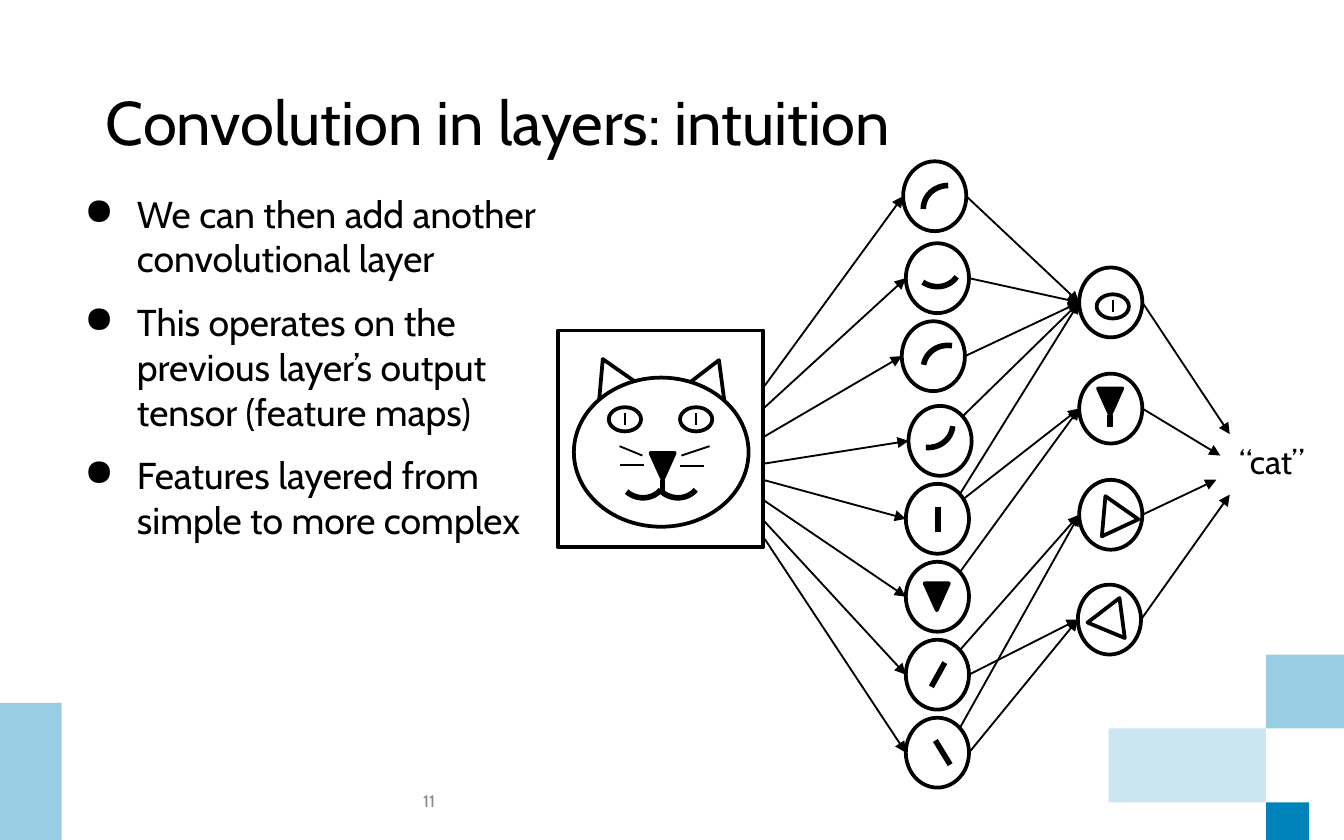
from lxml import etree
from pptx import Presentation
from pptx.dml.color import RGBColor
from pptx.enum.shapes import MSO_CONNECTOR, MSO_SHAPE
from pptx.enum.text import MSO_ANCHOR
from pptx.oxml.ns import qn
from pptx.util import Emu, Pt

PX = 9144  # EMU in one px, 100 px to the inch
BLACK = RGBColor(0x00, 0x00, 0x00)
WHITE = RGBColor(0xFF, 0xFF, 0xFF)
GRAY = RGBColor(0x88, 0x88, 0x88)
BLUE = RGBColor(0x00, 0x82, 0xBB)
FONT = "Cabin"
NODE_W, NODE_H = 47, 52

BULLETS = [
    "We can then add another convolutional layer",
    "This operates on the previous layer’s output tensor (feature maps)",
    "Features layered from simple to more complex",
]
# Left and top of each node, from the top down
SIMPLE_NODES = [(672, 120), (674, 181), (671, 239), (676, 302),
                (674, 360), (674, 418), (674, 476), (674, 534)]
COMPLEX_NODES = [(803, 199), (803, 278), (803, 357), (802, 435)]
# Where the line to each simple node leaves the image
IMAGE_EXITS = [(569, 287), (568, 304), (565, 327), (562, 346),
               (564, 356), (565, 370), (567, 386), (569, 401)]
# Simple node, the side it is left from, complex node
LINKS = [(0, "right", 0), (1, "right", 0), (2, "right", 0), (3, "corner", 0),
         (4, "corner", 0), (4, "center", 1), (5, "corner", 1), (6, "corner", 2),
         (7, "corner", 2), (6, "right", 3), (7, "right", 3)]
LABEL_ENDS = [(915, 323), (908, 339), (905, 357), (915, 368)]


def px(*lengths):
    return [Emu(length * PX) for length in lengths]


def add_shape(shapes, kind, box, fill=None, line=None, turn=0, alpha=None):
    shape = shapes.add_shape(kind, *px(*box))
    shape.shadow.inherit = False
    shape.rotation = turn
    if fill is None:
        shape.fill.background()
    else:
        shape.fill.solid()
        shape.fill.fore_color.rgb = fill
    if alpha:
        color = shape.element.spPr.find(".//" + qn("a:srgbClr"))
        etree.SubElement(color, qn("a:alpha"), val=str(alpha * 1000))
    if line is None:
        shape.line.fill.background()
    else:
        shape.line.color.rgb = BLACK
        shape.line.width = Pt(line)
    return shape


def add_line(shapes, start, end, width=1, arrow=False):
    line = shapes.add_connector(MSO_CONNECTOR.STRAIGHT, *px(*start, *end))
    line.line.color.rgb = BLACK
    line.line.width = Pt(width)
    properties = line.element.spPr
    if arrow:
        etree.SubElement(properties.find(qn("a:ln")), qn("a:tailEnd"), type="triangle")
    etree.SubElement(properties, qn("a:effectLst"))


def add_arc(shapes, left, top, turn=0):
    arc = add_shape(shapes, MSO_SHAPE.ARC, (left, top, 37, 35), line=3, turn=turn)
    arc.element.spPr.find(qn("a:xfrm")).set("flipH", "1")


def add_oval(shapes, *box):
    add_shape(shapes, MSO_SHAPE.OVAL, box, WHITE, 2)


def add_eye(shapes, left, top):
    add_oval(shapes, left, top, 24, 18)
    add_line(shapes, (left + 12, top + 4), (left + 12, top + 13))


def add_ear(shapes, left, top, turn):
    add_shape(shapes, MSO_SHAPE.ISOSCELES_TRIANGLE, (left, top, 30, 26), WHITE, 2, turn)


def add_nose(shapes, left, top):
    add_shape(shapes, MSO_SHAPE.ISOSCELES_TRIANGLE, (left, top, 18, 20), BLACK, 2, 180)


def add_muzzle(shapes, left, top):
    add_nose(shapes, left, top)
    add_line(shapes, (left + 9, top + 20), (left + 9, top + 29), 3)


def add_text(page, box, lines, size, color=BLACK, anchor=MSO_ANCHOR.TOP, inset=(10, 5)):
    frame = page.shapes.add_textbox(*px(*box)).text_frame
    frame.word_wrap = True
    frame.vertical_anchor = anchor
    frame.margin_left = frame.margin_right = Emu(inset[0] * PX)
    frame.margin_top = frame.margin_bottom = Emu(inset[1] * PX)
    frame.text = "\n".join(lines)
    for para in frame.paragraphs:
        for span in para.runs:
            span.font.name = FONT
            span.font.size = Pt(size)
            span.font.color.rgb = color
    return frame


def add_bullets(page):
    frame = add_text(page, (42, 132, 368, 446), BULLETS, 20, inset=(10, 10))
    for index, para in enumerate(frame.paragraphs):
        if index:
            para.space_before = Pt(10)
        properties = para._p.get_or_add_pPr()
        properties.set("marL", str(50 * PX))
        properties.set("indent", str(-39 * PX))
        color = etree.SubElement(properties, qn("a:buClr"))
        etree.SubElement(color, qn("a:srgbClr"), val=str(BLACK))
        etree.SubElement(properties, qn("a:buChar"), char="●")


def add_decoration(page):
    for box, alpha in [((0, 523, 46, 102), 40), ((942, 597, 32, 28), None),
                       ((825, 542, 117, 55), 20), ((942, 487, 58, 55), 40)]:
        add_shape(page.shapes, MSO_SHAPE.RECTANGLE, box, BLUE, alpha=alpha)


def add_cat(page):
    shapes = page.shapes.add_group_shape().shapes
    add_ear(shapes, 439, 266, 335)
    add_ear(shapes, 515, 267, 22.5)
    add_oval(shapes, 427, 281, 130, 111)
    for left in (453, 506):
        add_eye(shapes, left, 303)
    add_muzzle(shapes, 484, 337)
    for left in (485, 459):
        add_arc(shapes, left, 335, 220.2)
    # Whiskers
    for start, end in [((507, 339), (528, 332)), ((506, 347), (524, 347)),
                       ((478, 339), (461, 332)), ((479, 346), (461, 346))]:
        add_line(shapes, start, end)


def node_point(node, side):
    across, down = {"left": (0, 0.5), "right": (1, 0.5),
                    "center": (0.5, 0.5), "corner": (0.85, 0.15)}[side]
    return round(node[0] + NODE_W * across), round(node[1] + NODE_H * down)


def add_node(page, node, draw, *details):
    shapes = page.shapes.add_group_shape().shapes
    add_oval(shapes, *node, NODE_W, NODE_H)
    draw(shapes, *details)


def add_network(page):
    # Image to simple features, the lines running in under the frame
    for start, node in zip(IMAGE_EXITS, SIMPLE_NODES):
        add_line(page.shapes, start, node_point(node, "left"), arrow=True)
    add_shape(page.shapes, MSO_SHAPE.RECTANGLE, (415, 246, 153, 161), WHITE, 2)
    add_cat(page)

    # Simple to complex features
    for source, side, target in LINKS:
        add_line(page.shapes, node_point(SIMPLE_NODES[source], side),
                 node_point(COMPLEX_NODES[target], "left"), arrow=True)

    # Nodes with the feature each one detects
    simple = [(add_arc, 687, 138), (add_arc, 678, 178, 214.4),
              (add_arc, 687, 257, 9.5), (add_arc, 672, 298, 185),
              (add_line, (698, 396), (698, 377), 3), (add_nose, 688, 434),
              (add_line, (693, 511), (703, 493), 3),
              (add_line, (707, 569), (696, 551), 3)]
    complex_ = [(add_eye, 816, 219), (add_muzzle, 817, 289),
                (add_ear, 813, 368, 335), (add_ear, 813, 444, 22.5)]
    for node, feature in zip(SIMPLE_NODES + COMPLEX_NODES, simple + complex_):
        add_node(page, node, *feature)

    # Complex features to the label
    for node, end in zip(COMPLEX_NODES, LABEL_ENDS):
        add_line(page.shapes, node_point(node, "right"), end, arrow=True)
    add_text(page, (915, 324, 87, 42), ["“cat”"], 18, inset=(7, 4))


def main():
    deck = Presentation()
    deck.slide_width, deck.slide_height = px(1000, 625)
    page = deck.slides.add_slide(deck.slide_layouts[6])
    add_decoration(page)
    add_network(page)
    title = add_text(page, (69, 33, 862, 121), ["Convolution in layers: intuition"],
                     33, anchor=MSO_ANCHOR.MIDDLE)
    title.paragraphs[0].line_spacing = 0.9
    add_bullets(page)
    add_text(page, (305, 579, 225, 33), ["11"], 9, GRAY, MSO_ANCHOR.MIDDLE)
    deck.save("out.pptx")


if __name__ == "__main__":
    main()
